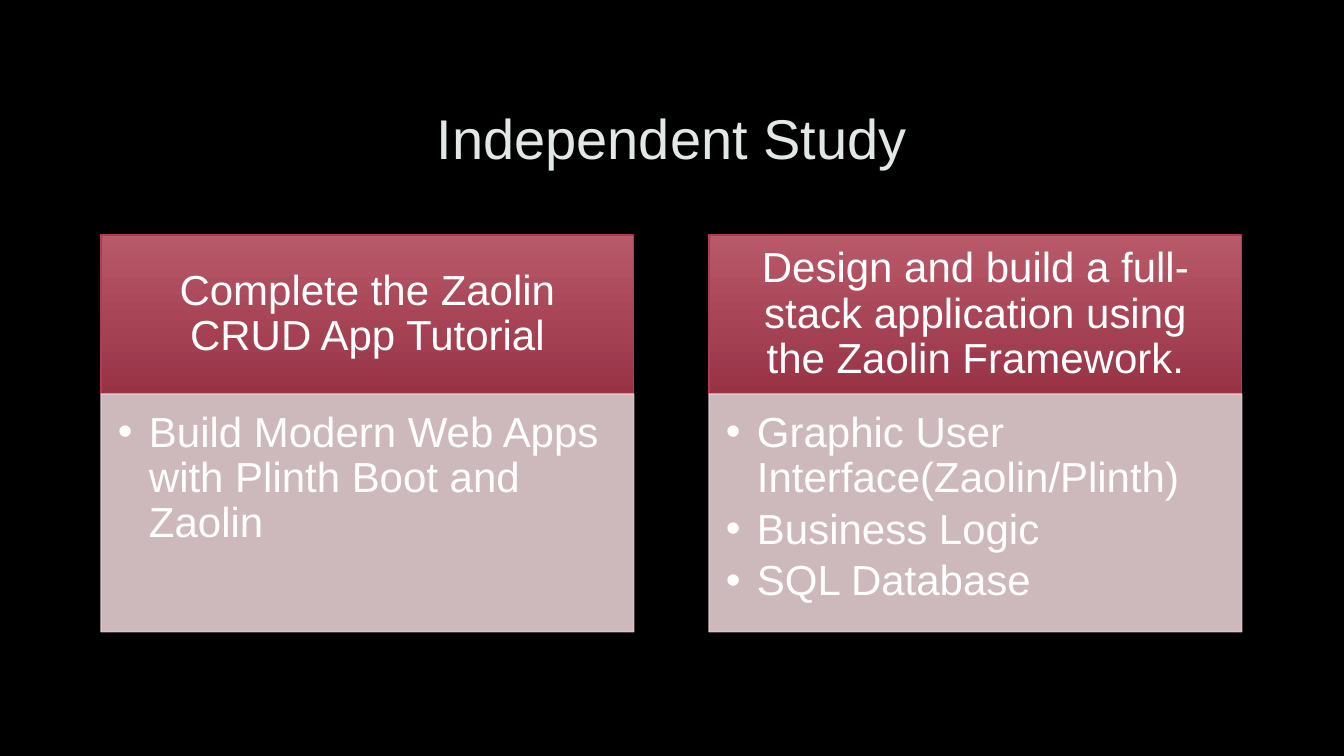
import pptx
import pptx.dml.color
import pptx.enum.shapes
import pptx.enum.text
import pptx.oxml
import pptx.oxml.ns
import pptx.util

TITLE = "Independent Study"
CARDS = [
    ("Complete the Zaolin CRUD App Tutorial",
     ["Build Modern Web Apps with Plinth Boot and Zaolin"]),
    ("Design and build a full-stack application using the Zaolin Framework.",
     ["Graphic User Interface(Zaolin/Plinth)", "Business Logic", "SQL Database"]),
]

THEME = {
    "font": "Arial", "title_size": 40, "text_size": 30,
    "background": "000000", "title": "E2E8E7", "text": "FFFFFF",
    "head_top": "B85969", "head_bottom": "983346", "head_line": "B13B52",
    "body": "E4CED1", "body_alpha": 90,
}

# Lengths in px
SLIDE_W, SLIDE_H = 1344, 756
TITLE_BOX = (101, 68, 1141, 139)
LEFT, TOP, CARD_W, CARD_STEP = 101, 235, 533, 608
HEAD_H, BODY_H = 159, 238
HEAD_INSETS = (23, 13, 23, 13)
BODY_INSETS = (17, 17, 23, 26)
BULLET_INDENT = 31

PP = pptx.enum.text.PP_ALIGN
ANCHOR = pptx.enum.text.MSO_ANCHOR
HEAD_PARAGRAPH = {"alignment": PP.CENTER, "line_spacing": 0.9}
BODY_PARAGRAPH = {"alignment": PP.LEFT, "line_spacing": 0.9, "level": 1,
                  "space_after": pptx.util.Pt(4.5)}


def px(n):
    return round(n * 914400 / 100.8)


def rgb(name):
    return pptx.dml.color.RGBColor.from_string(THEME[name])


def set_attrs(obj, values):
    for name, value in values.items():
        setattr(obj, name, value)


def add_xml(parent, tag, **attrs):
    el = pptx.oxml.parse_xml(f"<a:{tag} {pptx.oxml.ns.nsdecls('a')}/>")
    for name, value in attrs.items():
        el.set(name, str(value))
    parent.append(el)


def write(tf, lines, insets, anchor, paragraph, color, size):
    sides = ("margin_left", "margin_top", "margin_right", "margin_bottom")
    set_attrs(tf, dict(zip(sides, map(px, insets))))
    set_attrs(tf, {"word_wrap": True, "vertical_anchor": anchor})
    for i, line in enumerate(lines):
        p = tf.paragraphs[0] if i == 0 else tf.add_paragraph()
        set_attrs(p, paragraph)
        r = p.add_run()
        r.text = line
        set_attrs(r.font, {"name": THEME["font"], "size": pptx.util.Pt(THEME[size])})
        r.font.color.rgb = rgb(color)


def add_box(s, x, y, h, line):
    sp = s.shapes.add_shape(pptx.enum.shapes.MSO_SHAPE.RECTANGLE,
                            px(x), px(y), px(CARD_W), px(h))
    sp.shadow.inherit = False
    sp.line.color.rgb = rgb(line)
    sp.line.width = pptx.util.Pt(0.75)
    return sp


def add_head(s, x, text):
    sp = add_box(s, x, TOP, HEAD_H, "head_line")
    sp.fill.gradient()
    sp.fill.gradient_angle = 270
    for stop, name in zip(sp.fill.gradient_stops, ("head_top", "head_bottom")):
        stop.color.rgb = rgb(name)
    write(sp.text_frame, [text], HEAD_INSETS, ANCHOR.MIDDLE, HEAD_PARAGRAPH,
          "text", "text_size")


def add_body(s, x, lines):
    sp = add_box(s, x, TOP + HEAD_H, BODY_H, "body")
    sp.fill.solid()
    sp.fill.fore_color.rgb = rgb("body")
    for color in sp._element.spPr.iter(pptx.oxml.ns.qn("a:srgbClr")):
        add_xml(color, "alpha", val=THEME["body_alpha"] * 1000)
    write(sp.text_frame, lines, BODY_INSETS, ANCHOR.TOP, BODY_PARAGRAPH,
          "text", "text_size")
    for p in sp.text_frame.paragraphs:
        pPr = p._p.get_or_add_pPr()
        pPr.set("marL", str(px(BULLET_INDENT)))
        pPr.set("indent", str(-px(BULLET_INDENT)))
        add_xml(pPr, "buFont", typeface=THEME["font"])
        add_xml(pPr, "buChar", char="•")


def main():
    prs = pptx.Presentation()
    set_attrs(prs, {"slide_width": px(SLIDE_W), "slide_height": px(SLIDE_H)})
    s = prs.slides.add_slide(prs.slide_layouts[5])
    s.background.fill.solid()
    s.background.fill.fore_color.rgb = rgb("background")

    title = s.shapes.title
    set_attrs(title, dict(zip(("left", "top", "width", "height"), map(px, TITLE_BOX))))
    write(title.text_frame, [TITLE], (10, 5, 10, 5), ANCHOR.MIDDLE,
          {"alignment": PP.CENTER}, "title", "title_size")

    for i, (head, lines) in enumerate(CARDS):
        x = LEFT + i * CARD_STEP
        add_head(s, x, head)
        add_body(s, x, lines)
    prs.save("out.pptx")


if __name__ == "__main__":
    main()
